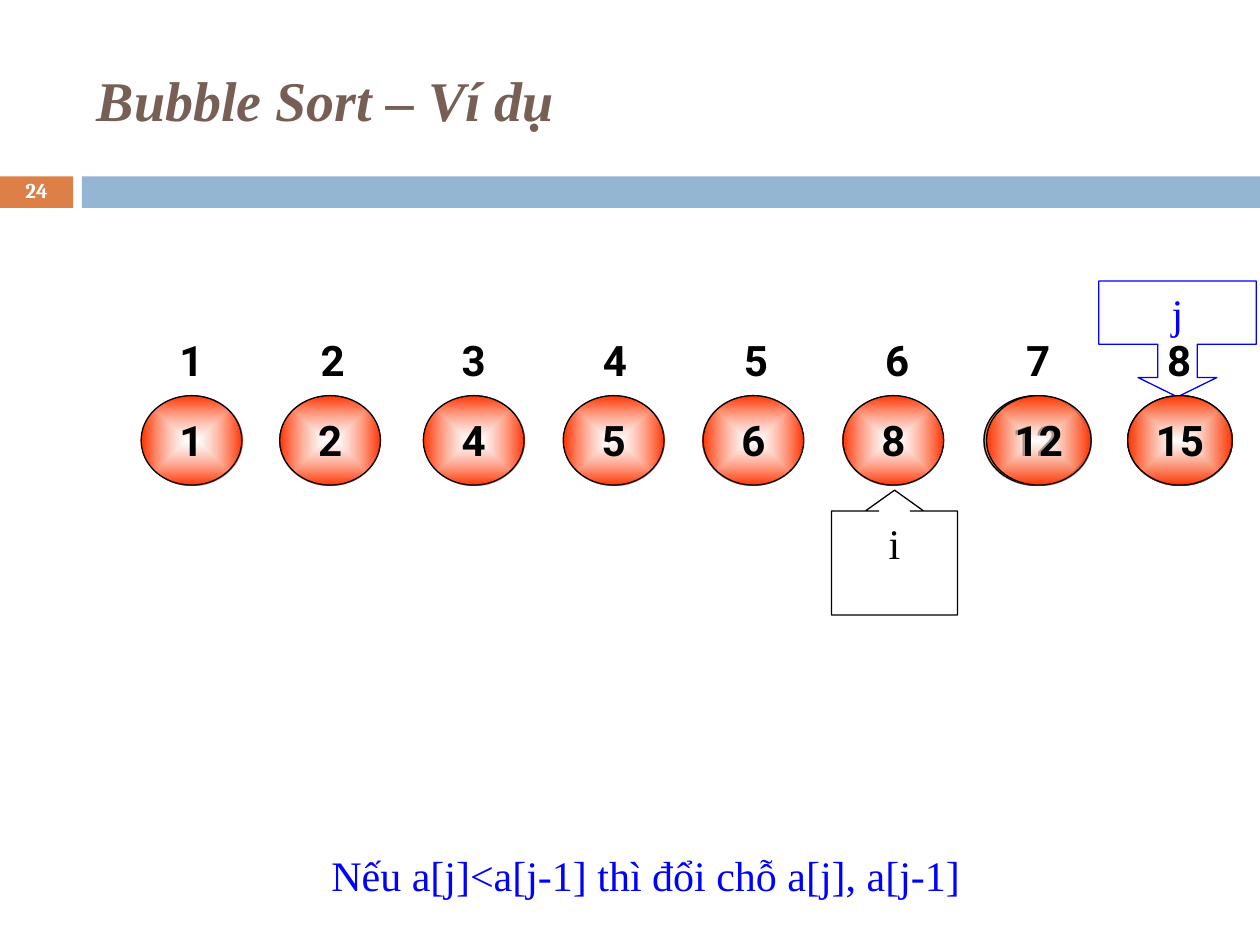
from lxml import etree
from pptx import Presentation
from pptx.dml.color import RGBColor
from pptx.enum.shapes import MSO_SHAPE
from pptx.enum.text import MSO_ANCHOR, PP_ALIGN
from pptx.oxml import parse_xml
from pptx.oxml.ns import nsdecls
from pptx.util import Inches, Pt

RECTANGLE = MSO_SHAPE.RECTANGLE
OVAL = MSO_SHAPE.OVAL
UP_CALLOUT = MSO_SHAPE.UP_ARROW_CALLOUT
DOWN_CALLOUT = MSO_SHAPE.DOWN_ARROW_CALLOUT
TOP, MIDDLE = MSO_ANCHOR.TOP, MSO_ANCHOR.MIDDLE
LEFT, CENTER = PP_ALIGN.LEFT, PP_ALIGN.CENTER

BLACK = RGBColor(0x00, 0x00, 0x00)
WHITE = RGBColor(0xFF, 0xFF, 0xFF)
BLUE = RGBColor(0x00, 0x00, 0xFF)
BROWN = RGBColor(0x77, 0x5F, 0x55)
ORANGE = RGBColor(0xDD, 0x80, 0x47)
PALE_BLUE = RGBColor(0x94, 0xB6, 0xD2)
RED = RGBColor(0xFF, 0x33, 0x00)
SERIF, SANS, NUMBER_FONT = "Times New Roman", "Roboto", "Cambria"

TITLE = "Bubble Sort – Ví dụ"
PAGE_NUMBER = "24"
RULE = "Nếu a[j]<a[j-1] thì đổi chỗ a[j], a[j-1]"

BARS = [((0, 1.4, 0.58, 0.25), ORANGE), ((0.65, 1.4, 9.35, 0.25), PALE_BLUE)]
BALL_TOP, BALL_WIDTH, WIDE_BALL, BALL_HEIGHT = 3.14, 0.8, 0.83, 0.71
INDEX_LEFT, INDEX_TOP, INDEX_STEP, INDEX_COUNT = 1.12, 2.5, 1.12, 8
SORTED_BALLS = [
    ("1", 1.12, BALL_WIDTH, RED), ("2", 2.22, BALL_WIDTH, RED),
    ("4", 3.36, BALL_WIDTH, RED), ("5", 4.47, BALL_WIDTH, RED),
    ("6", 5.58, BALL_WIDTH, RED), ("8", 6.69, BALL_WIDTH, RED),
    ("12", 7.81, WIDE_BALL, ORANGE), ("15", 8.95, WIDE_BALL, ORANGE),
]
SETTLED_BALLS = [("15", 8.95, WIDE_BALL, RED), ("12", 7.83, WIDE_BALL, RED)]
POINTERS = [
    ("i", UP_CALLOUT, (6.6, 3.89, 1, 0.99), (0.252, 0.234, 0.167, 0.989), BLACK),
    ("j", DOWN_CALLOUT, (8.72, 2.23, 1.25, 0.92), (0.34, 0.34, 0.167, 0.546), BLUE),
]


def write(shape, text, font, size, color, bold=False, align=CENTER, anchor=TOP, wrap=True):
    frame = shape.text_frame
    frame.text = text
    frame.word_wrap = wrap
    frame.vertical_anchor = anchor
    para = frame.paragraphs[0]
    para.alignment = align
    span = para.runs[0].font
    span.name, span.size, span.bold = font, Pt(size), bold
    span.color.rgb = color
    return para


def add_shape(page, kind, place, line=None):
    shape = page.shapes.add_shape(kind, *map(Inches, place))
    shape.shadow.inherit = False
    shape.fill.background()
    if line is None:
        shape.line.fill.background()
    else:
        shape.line.color.rgb = line
        shape.line.width = Pt(0.75)
    return shape


def add_text(page, place, *style, **options):
    box = page.shapes.add_textbox(*map(Inches, place))
    return box, write(box, *style, **options)


def fill_glow(shape, color):
    properties = shape.fill._xPr
    old_fill = properties.find("{*}noFill")
    glow = parse_xml(
        f'<a:gradFill {nsdecls("a")} rotWithShape="1"><a:gsLst>'
        '<a:gs pos="0"><a:srgbClr val="FFFFFF"><a:alpha val="60000"/></a:srgbClr></a:gs>'
        f'<a:gs pos="100000"><a:srgbClr val="{color}"/></a:gs></a:gsLst>'
        '<a:path path="rect"><a:fillToRect l="50000" t="50000" r="50000" b="50000"/></a:path>'
        '</a:gradFill>')
    properties.replace(old_fill, glow)


def add_balls(page, balls):
    for value, left, width, color in balls:
        ball = add_shape(page, OVAL, (left, BALL_TOP, width, BALL_HEIGHT), BLACK)
        fill_glow(ball, color)
        write(ball, value, SANS, 24, BLACK, bold=True, wrap=False)


def main():
    deck = Presentation()
    deck.slide_width, deck.slide_height = Inches(10), Inches(7.5)
    page = deck.slides.add_slide(deck.slide_layouts[6])

    for place, color in BARS:
        bar = add_shape(page, RECTANGLE, place)
        bar.fill.solid()
        bar.fill.fore_color.rgb = color

    _, title = add_text(page, (0.67, 0.25, 8.92, 1.08), TITLE, SERIF, 32, BROWN,
                        bold=True, align=LEFT, anchor=MIDDLE)
    title.runs[0].font.italic = True
    _, number = add_text(page, (0, 1.39, 0.58, 0.27), PAGE_NUMBER, NUMBER_FONT, 12,
                         WHITE, bold=True, anchor=MIDDLE)
    number.line_spacing = 0.8

    add_balls(page, SORTED_BALLS)
    for index in range(INDEX_COUNT):
        place = (INDEX_LEFT + index * INDEX_STEP, INDEX_TOP, BALL_WIDTH, BALL_HEIGHT)
        label = add_shape(page, OVAL, place)
        write(label, str(index + 1), SANS, 24, BLACK, bold=True, wrap=False)

    for name, kind, place, adjustments, color in POINTERS:
        pointer = add_shape(page, kind, place, color)
        for position, amount in enumerate(adjustments):
            pointer.adjustments[position] = amount
        write(pointer, name, SERIF, 24, color)
    add_balls(page, SETTLED_BALLS)

    box, rule = add_text(page, (2.47, 6.68, 5.25, 0.52), RULE, SERIF, 24, BLUE,
                         align=LEFT, wrap=False)
    box.text_frame.margin_left = Inches(0.16)
    rule.line_spacing = Pt(30)

    deck.save("out.pptx")


if __name__ == "__main__":
    main()
